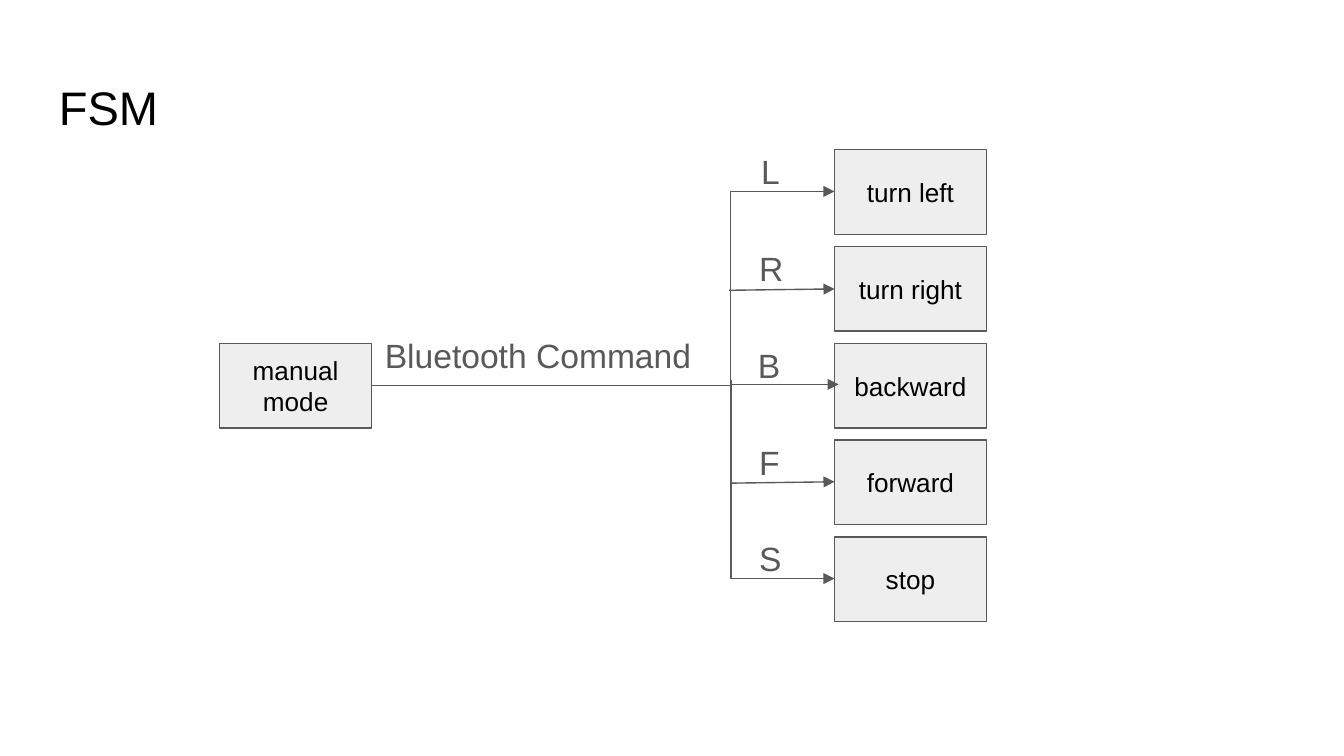
import pptx
import pptx.dml.color
import pptx.enum.shapes
import pptx.enum.text
import pptx.oxml
import pptx.oxml.ns
import pptx.util

PX = 4572  # EMU per px, 200 px to the inch
GREY = "595959"
BOX_WIDTH, BOX_HEIGHT = 226, 126
BRANCH_X, STATE_X = 1088, 1242
FIRST_ROW, ROW_PITCH = 223, 144
STATES = [  # command, its label's left, resulting state
    ("L", 1113, "turn left"),
    ("R", 1110, "turn right"),
    ("B", 1108, "backward"),
    ("F", 1110, "forward"),
    ("S", 1110, "stop"),
]
STRAIGHT = pptx.enum.shapes.MSO_CONNECTOR.STRAIGHT
ELBOW = pptx.enum.shapes.MSO_CONNECTOR.ELBOW


def px(*lengths):
    return [pptx.util.Emu(length * PX) for length in lengths]


def color(value):
    return pptx.dml.color.RGBColor.from_string(value)


def write(shape, lines, size, ink, align, anchor):
    frame = shape.text_frame
    formats = dict.fromkeys(
        ("margin_left", "margin_top", "margin_right", "margin_bottom"), px(20)[0])
    formats.update(word_wrap=True, vertical_anchor=anchor)
    for name, value in formats.items():
        setattr(frame, name, value)
    for index, line in enumerate(lines):
        para = frame.add_paragraph() if index else frame.paragraphs[0]
        para.alignment = align
        span = para.add_run()
        span.text = line
        for name, value in {"name": "Arial", "size": pptx.util.Pt(size)}.items():
            setattr(span.font, name, value)
        span.font.color.rgb = color(ink)


def add_label(page, text, bounds, size=18, ink=GREY):
    box = page.shapes.add_textbox(*px(*bounds))
    write(box, [text], size, ink, pptx.enum.text.PP_ALIGN.LEFT,
          pptx.enum.text.MSO_ANCHOR.TOP)


def add_state(page, lines, left, top):
    box = page.shapes.add_shape(pptx.enum.shapes.MSO_SHAPE.RECTANGLE,
                                *px(left, top, BOX_WIDTH, BOX_HEIGHT))
    box.shadow.inherit = False
    box.fill.solid()
    box.fill.fore_color.rgb = color("EEEEEE")
    box.line.color.rgb = color(GREY)
    box.line.width = pptx.util.Pt(0.75)
    write(box, lines, 14, "000000", pptx.enum.text.PP_ALIGN.CENTER,
          pptx.enum.text.MSO_ANCHOR.MIDDLE)


def add_arrow(page, kind, *ends):
    arrow = page.shapes.add_connector(kind, *px(*ends))
    arrow.line.color.rgb = color(GREY)
    arrow.line.width = pptx.util.Pt(0.75)
    properties = arrow._element.spPr
    head = pptx.oxml.ns.qn("a:tailEnd")
    arrow.line._get_or_add_ln().append(
        properties.makeelement(head, {"type": "triangle"}))
    properties.append(properties.makeelement(pptx.oxml.ns.qn("a:effectLst"), {}))
    return arrow


def add_trunk_up(page):
    """Run from the manual box to the branch line, up it and into the first state."""
    arrow = add_arrow(page, ELBOW, 552, 574, STATE_X, 285)
    geometry = arrow._element.spPr.find(pptx.oxml.ns.qn("a:prstGeom"))
    guides = geometry.find(pptx.oxml.ns.qn("a:avLst"))
    guides.append(guides.makeelement(
        pptx.oxml.ns.qn("a:gd"), {"name": "adj1", "fmla": "val 77600"}))


def add_trunk_down(page):
    """Run down the branch line and into the last state, as a turned elbow."""
    arrow = add_arrow(page, ELBOW, 1313, 636, 1017, 790)
    properties = arrow._element.spPr
    properties.find(pptx.oxml.ns.qn("a:xfrm")).set("rot", str(270 * 60000))
    properties.find(pptx.oxml.ns.qn("a:prstGeom")).set("prst", "bentConnector2")


def main():
    deck = pptx.Presentation()
    deck.slide_width, deck.slide_height = px(2000, 1125)
    page = deck.slides.add_slide(deck.slide_layouts[6])

    add_label(page, "FSM", (68, 97, 1864, 126), 25.2, "000000")
    add_state(page, ["manual", "mode"], 327, FIRST_ROW + 2 * ROW_PITCH)
    for row, (command, left, state) in enumerate(STATES):
        top = FIRST_ROW + row * ROW_PITCH
        add_state(page, [state], STATE_X, top)
        add_label(page, command, (left, top - 18, 70, 90))

    add_trunk_up(page)
    add_trunk_down(page)
    add_arrow(page, STRAIGHT, BRANCH_X - 3, 432, STATE_X, 430)
    add_arrow(page, STRAIGHT, BRANCH_X, 572, STATE_X + 6, 572)
    add_arrow(page, STRAIGHT, BRANCH_X, 719, STATE_X, 717)
    add_label(page, "Bluetooth Command", (553, 478, 510, 100))
    deck.save("out.pptx")


if __name__ == "__main__":
    main()
